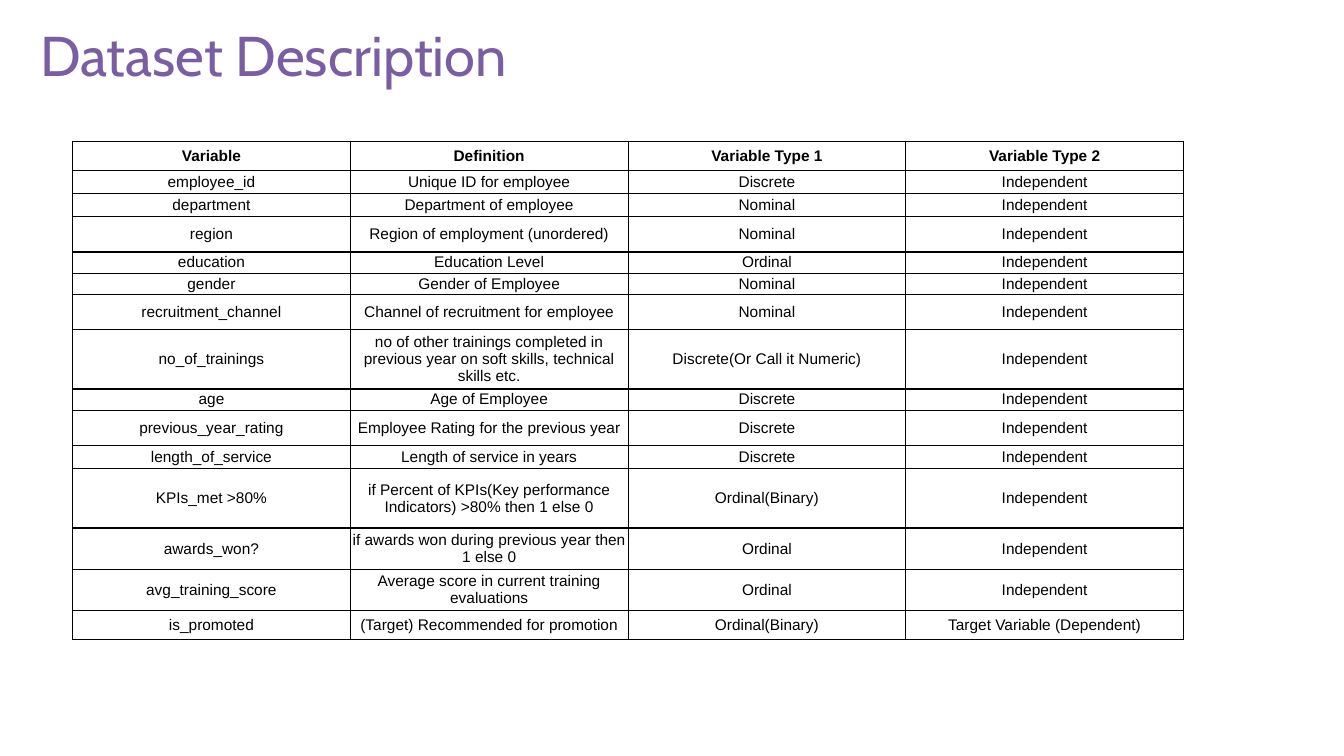
"""Build the dataset description slide with its table of variables."""
from lxml.etree import SubElement
from pptx import Presentation
from pptx.dml.color import RGBColor
from pptx.enum.text import MSO_ANCHOR, MSO_AUTO_SIZE, PP_ALIGN
from pptx.oxml.ns import qn
from pptx.util import Inches, Pt

COLORS = {"title": "795EA3", "text": "000000", "border": "000000"}
TABLE_WIDTH = 11.02
CELL_MARGIN = Inches(0.02)
ROWS = [
    (0.29, "Variable", "Definition", "Variable Type 1", "Variable Type 2"),
    (0.23, "employee_id", "Unique ID for employee", "Discrete", "Independent"),
    (0.23, "department", "Department of employee", "Nominal", "Independent"),
    (0.35, "region", "Region of employment (unordered)", "Nominal", "Independent"),
    (0.17, "education", "Education Level", "Ordinal", "Independent"),
    (0.17, "gender", "Gender of Employee", "Nominal", "Independent"),
    (0.35, "recruitment_channel", "Channel of recruitment for employee", "Nominal", "Independent"),
    (0.59, "no_of_trainings",
     "no of other trainings completed in previous year on soft skills, technical skills etc.",
     "Discrete(Or Call it Numeric)", "Independent"),
    (0.17, "age", "Age of Employee", "Discrete", "Independent"),
    (0.35, "previous_year_rating", "Employee Rating for the previous year", "Discrete", "Independent"),
    (0.23, "length_of_service", "Length of service in years", "Discrete", "Independent"),
    (0.59, "KPIs_met >80%", "if Percent of KPIs(Key performance Indicators) >80% then 1 else 0",
     "Ordinal(Binary)", "Independent"),
    (0.41, "awards_won?", "if awards won during previous year then 1 else 0", "Ordinal", "Independent"),
    (0.41, "avg_training_score", "Average score in current training evaluations", "Ordinal", "Independent"),
    (0.29, "is_promoted", "(Target) Recommended for promotion", "Ordinal(Binary)",
     "Target Variable (Dependent)"),
]


def add_text(paragraph, text, font_name, size, color, bold=False):
    run = paragraph.add_run()
    run.text = text
    run.font.name = font_name
    run.font.size = Pt(size)
    run.font.bold = bold
    run.font.color.rgb = RGBColor.from_string(color)


def add_borders(cell, color):
    properties = cell._tc.get_or_add_tcPr()
    for side in ("a:lnL", "a:lnR", "a:lnT", "a:lnB"):
        line = SubElement(properties, qn(side), w=str(Pt(1)))
        fill = SubElement(line, qn("a:solidFill"))
        SubElement(fill, qn("a:srgbClr"), val=color)


presentation = Presentation()
presentation.slide_width = Inches(13.33)
presentation.slide_height = Inches(7.5)
slide = presentation.slides.add_slide(presentation.slide_layouts[5])

title = slide.shapes.title
title.left, title.top = Inches(0.3), Inches(0.13)
title.width, title.height = Inches(10.84), Inches(0.82)
title.text_frame.auto_size = MSO_AUTO_SIZE.NONE
title.text_frame.vertical_anchor = MSO_ANCHOR.MIDDLE
title_paragraph = title.text_frame.paragraphs[0]
title_paragraph.alignment = PP_ALIGN.LEFT
add_text(title_paragraph, "Dataset Description", "Cabin", 40, COLORS["title"])

column_count = len(ROWS[0]) - 1
table_shape = slide.shapes.add_table(
    len(ROWS), column_count, Inches(0.72), Inches(1.4), Inches(TABLE_WIDTH), Inches(4.98))
table = table_shape.table
table.first_row = False
table.horz_banding = False
for column in table.columns:
    column.width = Inches(TABLE_WIDTH / column_count)

for row_index, (height, *texts) in enumerate(ROWS):
    table.rows[row_index].height = Inches(height)
    for column_index, text in enumerate(texts):
        cell = table.cell(row_index, column_index)
        cell.margin_left = cell.margin_right = CELL_MARGIN
        cell.margin_top = cell.margin_bottom = CELL_MARGIN
        cell.vertical_anchor = MSO_ANCHOR.MIDDLE
        add_borders(cell, COLORS["border"])
        cell.fill.background()
        paragraph = cell.text_frame.paragraphs[0]
        paragraph.alignment = PP_ALIGN.CENTER
        add_text(paragraph, text, "Arial", 11, COLORS["text"], bold=row_index == 0)

presentation.save("out.pptx")
